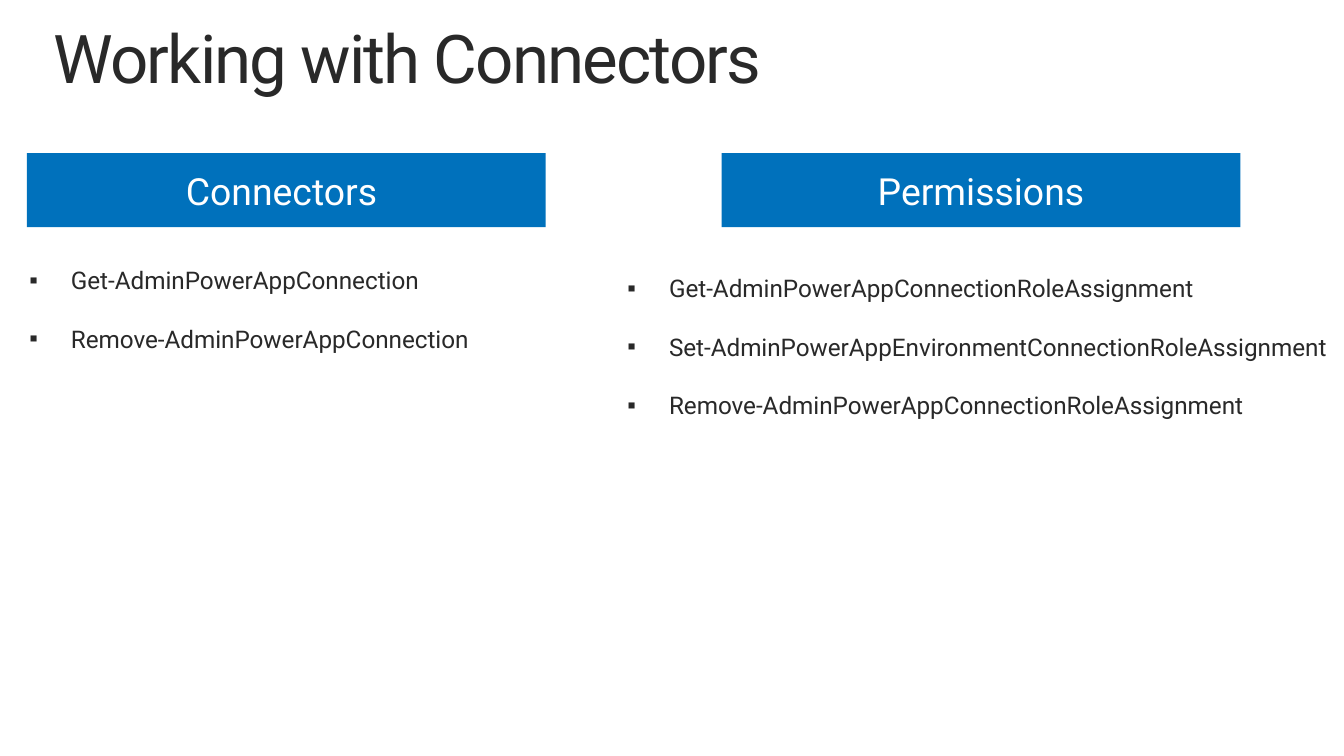
from dataclasses import dataclass

import pptx
import pptx.dml.color
import pptx.enum.shapes
import pptx.enum.text
import pptx.oxml.ns
import pptx.util
from lxml import etree
from pptx.util import Inches


@dataclass(frozen=True)
class Theme:
    font: str = "Roboto"
    bullet_font: str = "Arial"
    ink: str = "292929"
    accent: str = "0071BC"
    on_accent: str = "FFFFFF"
    title_size: int = 36
    header_size: int = 20
    body_size: int = 13


THEME = Theme()


def rgb(value):
    return pptx.dml.color.RGBColor.from_string(value)


def style(paragraph, size, color):
    paragraph.font.name = THEME.font
    paragraph.font.size = pptx.util.Pt(size)
    paragraph.font.color.rgb = rgb(color)


def add_bullet(paragraph, indent):
    """Give the paragraph a square bullet with a hanging indent."""
    properties = paragraph._p.get_or_add_pPr()
    properties.set("marL", str(indent))
    properties.set("indent", str(-indent))
    bullet_font = pptx.oxml.ns.qn("a:buFont")
    bullet = pptx.oxml.ns.qn("a:buChar")
    default_font = properties.find(pptx.oxml.ns.qn("a:defRPr"))
    elements = [
        etree.Element(bullet_font, typeface=THEME.bullet_font),
        etree.Element(bullet, char="▪"),
    ]
    for element in elements:
        if default_font is None:
            properties.append(element)
        else:
            default_font.addprevious(element)


def add_text_frame(slide, left, top, width, height):
    box = slide.shapes.add_textbox(
        Inches(left), Inches(top), Inches(width), Inches(height))
    box.text_frame.word_wrap = True
    return box.text_frame


def add_title(slide, text):
    frame = add_text_frame(slide, 0.4, 0.19, 9.27, 0.55)
    frame.margin_left = frame.margin_right = 0
    frame.margin_top = frame.margin_bottom = 0
    paragraph = frame.paragraphs[0]
    run = paragraph.add_run()
    run.text = text
    run.font._element.set("spc", "-100")
    paragraph.line_spacing = 0.9
    style(paragraph, THEME.title_size, THEME.ink)


def add_header(slide, left, text):
    shape = slide.shapes.add_shape(
        pptx.enum.shapes.MSO_SHAPE.RECTANGLE,
        Inches(left), Inches(1.14), Inches(3.86), Inches(0.55))
    shape.shadow.inherit = False
    shape.fill.solid()
    shape.fill.fore_color.rgb = rgb(THEME.accent)
    shape.line.fill.background()
    shape.text_frame.vertical_anchor = pptx.enum.text.MSO_ANCHOR.MIDDLE
    paragraph = shape.text_frame.paragraphs[0]
    paragraph.text = text
    paragraph.alignment = pptx.enum.text.PP_ALIGN.CENTER
    style(paragraph, THEME.header_size, THEME.on_accent)


def add_command_list(slide, left, top, width, height, commands):
    frame = add_text_frame(slide, left, top, width, height)
    frame.text = "\n".join(commands)
    for paragraph in frame.paragraphs:
        paragraph.line_spacing = 2.0
        style(paragraph, THEME.body_size, THEME.ink)
        add_bullet(paragraph, Inches(0.31))


def main():
    presentation = pptx.Presentation()
    presentation.slide_width = Inches(10)
    presentation.slide_height = presentation.slide_width * 9 // 16
    slide = presentation.slides.add_slide(presentation.slide_layouts[6])

    add_title(slide, "Working with Connectors")
    add_header(slide, 0.2, "Connectors ")
    add_command_list(slide, 0.12, 1.71, 4.57, 0.91, [
        "Get-AdminPowerAppConnection",
        "Remove-AdminPowerAppConnection",
    ])
    add_header(slide, 5.37, "Permissions")
    add_command_list(slide, 4.57, 1.77, 5.47, 1.35, [
        "Get-AdminPowerAppConnectionRoleAssignment",
        "Set-AdminPowerAppEnvironmentConnectionRoleAssignment",
        "Remove-AdminPowerAppConnectionRoleAssignment",
    ])
    presentation.save("out.pptx")


if __name__ == "__main__":
    main()
